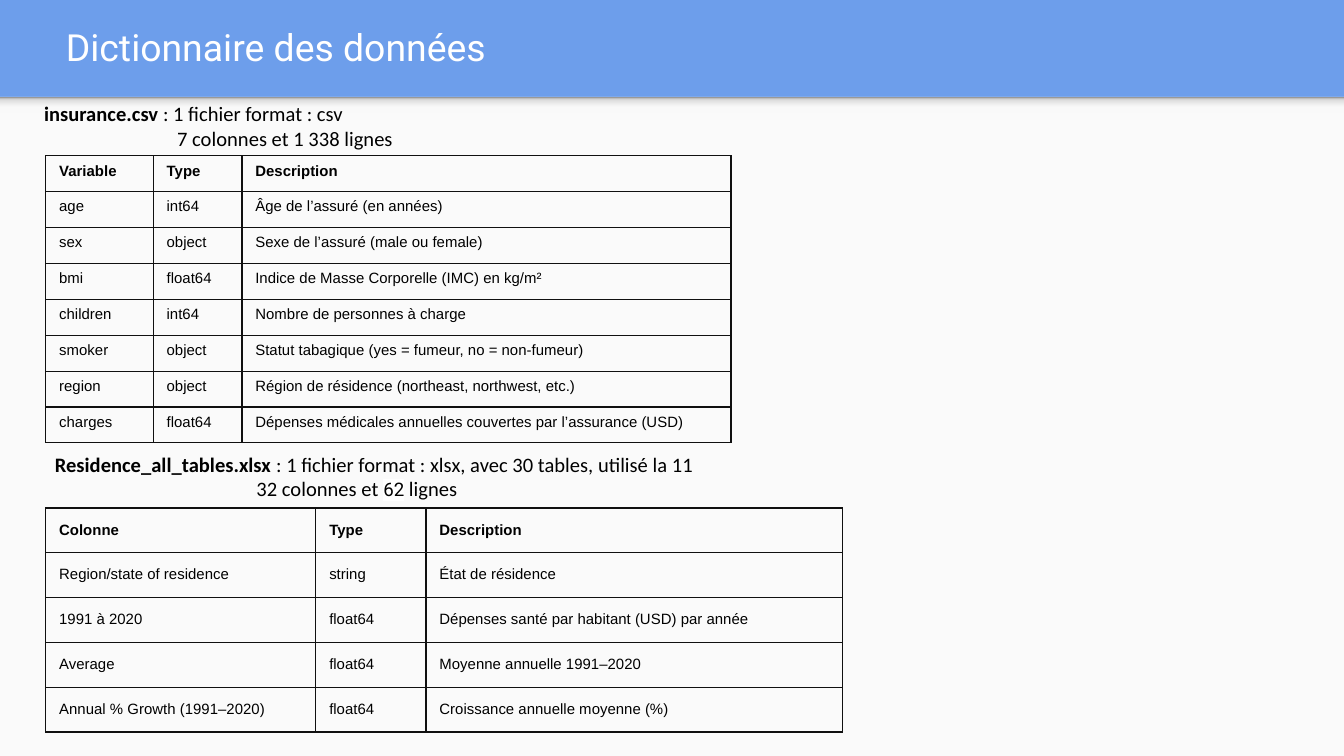
from lxml.etree import SubElement
from pptx import Presentation
from pptx.dml.color import RGBColor
from pptx.enum.shapes import MSO_SHAPE
from pptx.enum.text import MSO_ANCHOR, MSO_AUTO_SIZE, PP_ALIGN
from pptx.oxml.ns import qn
from pptx.util import Inches, Pt

BLUE = RGBColor(0x6D, 0x9E, 0xEB)
PAPER = RGBColor(0xFA, 0xFA, 0xFA)
WHITE = RGBColor(0xFF, 0xFF, 0xFF)
BLACK = RGBColor(0, 0, 0)
BORDER = RGBColor(0x10, 0x10, 0x10)
SHADOW_STOPS = [(0, "F9F9F9"), (36, "F9F9F9"), (80, "DEDEDE"), (100, "999999")]

INSURANCE = [
    ("Variable", "Type", "Description"),
    ("age", "int64", "Âge de l’assuré (en années)"),
    ("sex", "object", "Sexe de l’assuré (male ou female)"),
    ("bmi", "float64", "Indice de Masse Corporelle (IMC) en kg/m²"),
    ("children", "int64", "Nombre de personnes à charge"),
    ("smoker", "object", "Statut tabagique (yes = fumeur, no = non-fumeur)"),
    ("region", "object", "Région de résidence (northeast, northwest, etc.)"),
    ("charges", "float64", "Dépenses médicales annuelles couvertes par l’assurance (USD)"),
]
RESIDENCE = [
    ("Colonne", "Type", "Description"),
    ("Region/state of residence", "string", "État de résidence"),
    ("1991 à 2020", "float64", "Dépenses santé par habitant (USD) par année"),
    ("Average", "float64", "Moyenne annuelle 1991–2020"),
    ("Annual % Growth (1991–2020)", "float64", "Croissance annuelle moyenne (%)"),
]


def set_font(font, name, size, color, bold=False):
    font.name, font.size, font.bold = name, Pt(size), bold
    font.color.rgb = color


def set_insets(frame):
    frame.margin_left = frame.margin_right = Inches(0.1)
    frame.margin_top = frame.margin_bottom = Inches(0.1)


def indent(para, left, first=0):
    properties = para._p.get_or_add_pPr()
    properties.set("marL", str(Inches(left)))
    properties.set("indent", str(Inches(first)))


def add_band(page, top, height):
    """A full-width band that belongs to the layout behind the page."""
    band = page.shapes.add_shape(
        MSO_SHAPE.RECTANGLE, 0, Inches(top), Inches(10), Inches(height))
    band.shadow.inherit = False
    band.line.fill.background()
    page.slide_layout.shapes._spTree.append(band._element)
    return band


def add_background(page):
    page.background.fill.solid()
    page.background.fill.fore_color.rgb = BLUE
    body = add_band(page, 0.72, 4.91)
    body.fill.solid()
    body.fill.fore_color.rgb = PAPER

    # Soft shade under the blue header
    shade = add_band(page, 0.72, 0.12)
    shade.fill.gradient()
    shade.fill.gradient_angle = 90
    stops = shade._element.spPr.find(".//" + qn("a:gsLst"))
    for stop in list(stops):
        stops.remove(stop)
    for position, color in SHADOW_STOPS:
        stop = SubElement(stops, qn("a:gs"), pos=str(position * 1000))
        SubElement(stop, qn("a:srgbClr"), val=color)


def add_title(page, text):
    title = page.shapes.title
    title.left, title.top = Inches(0), Inches(0.02)
    title.width, title.height = Inches(9.76), Inches(0.66)
    frame = title.text_frame
    frame.text = text
    frame.auto_size = MSO_AUTO_SIZE.NONE
    frame.vertical_anchor = MSO_ANCHOR.MIDDLE
    set_insets(frame)
    para = frame.paragraphs[0]
    para.alignment = PP_ALIGN.LEFT
    indent(para, 0.39)
    set_font(para.font, "Roboto", 20, WHITE)


def add_caption(page, left, top, width, height, name, detail, counts, indents):
    """File name and format on one line, indented counts on the next."""
    box = page.shapes.add_textbox(
        Inches(left), Inches(top), Inches(width), Inches(height))
    frame = box.text_frame
    frame.word_wrap = True
    set_insets(frame)
    first, second = frame.paragraphs[0], frame.add_paragraph()
    for para in (first, second):
        set_font(para.font, "Calibri", 11, BLACK)
    indent(second, *indents)
    for text, bold in ((name, True), (detail, False)):
        span = first.add_run()
        span.text, span.font.bold = text, bold
    for text in counts:
        second.add_run().text = text
    return frame


def highlight(span, color):
    mark = SubElement(span.font._element, qn("a:highlight"))
    SubElement(mark, qn("a:srgbClr"), val=str(color))
    span.font._element.find(qn("a:solidFill")).addnext(mark)


def add_borders(cell):
    properties = cell._tc.get_or_add_tcPr()
    for side in ("lnL", "lnR", "lnT", "lnB"):
        line = SubElement(properties, qn("a:" + side), w=str(Pt(0.75)))
        fill = SubElement(line, qn("a:solidFill"))
        SubElement(fill, qn("a:srgbClr"), val=str(BORDER))


def add_grid(page, top, widths, heights, rows, spacing=None):
    table = page.shapes.add_table(
        len(rows), len(widths), Inches(0.34), Inches(top),
        Inches(sum(widths)), Inches(sum(heights))).table
    table.first_row = table.horz_banding = False
    for column, width in zip(table.columns, widths):
        column.width = Inches(width)
    for row_index, values in enumerate(rows):
        table.rows[row_index].height = Inches(heights[row_index])
        for column_index, value in enumerate(values):
            cell = table.cell(row_index, column_index)
            cell.text = value
            set_insets(cell)
            add_borders(cell)
            cell.fill.background()
            para = cell.text_frame.paragraphs[0]
            para.line_spacing = spacing
            set_font(para.font, "Arial", 8, BLACK, bold=row_index == 0)


def main():
    deck = Presentation()
    deck.slide_width = Inches(10)
    deck.slide_height = deck.slide_width * 9 // 16
    page = deck.slides.add_slide(deck.slide_layouts[5])
    add_background(page)
    add_title(page, "Dictionnaire des données")

    # Insurance file
    frame = add_caption(page, 0.23, 0.71, 4.77, 0.45, "insurance.csv",
                        " : 1 fichier format : csv",
                        ["7 colonnes et 1 338 lignes"], (0.5, 0.49))
    frame.vertical_anchor = MSO_ANCHOR.MIDDLE
    add_grid(page, 1.16, (0.8, 0.66, 3.64), [0.13] + [0.25] * 7,
             INSURANCE, spacing=0.5)

    # Residence workbook
    frame = add_caption(page, 0.31, 3.26, 5.51, 0.57, "Residence_all_tables.xlsx",
                        " : 1 fichier format : xlsx, avec 30 tables, utilisé la 11",
                        ["32 colonnes et ", "62", " lignes"], (1.5, 0))
    frame.auto_size = MSO_AUTO_SIZE.SHAPE_TO_FIT_TEXT
    row_count = frame.paragraphs[1].runs[1]
    set_font(row_count.font, "Roboto", 10, BLACK)
    highlight(row_count, WHITE)
    add_grid(page, 3.78, (2.01, 0.82, 3.1), [0.21] * 4 + [0.24], RESIDENCE)

    deck.save("out.pptx")


if __name__ == "__main__":
    main()
